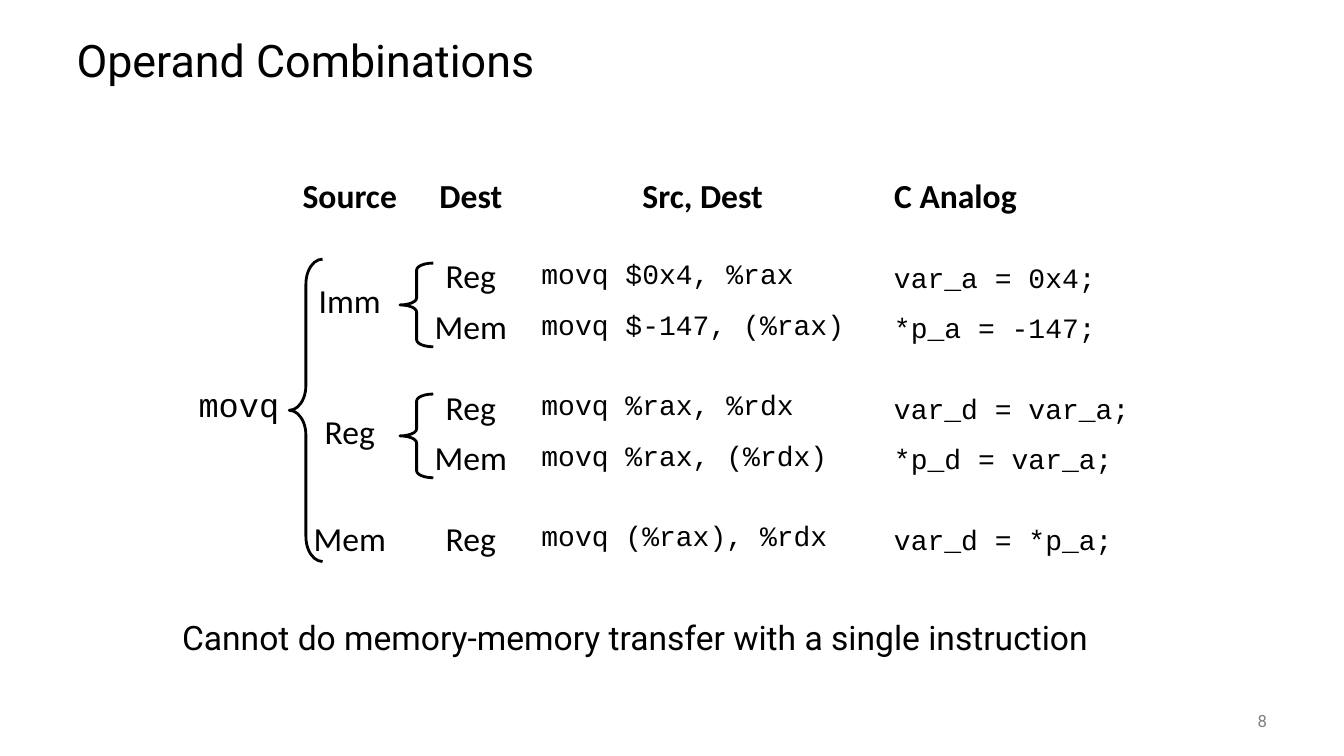
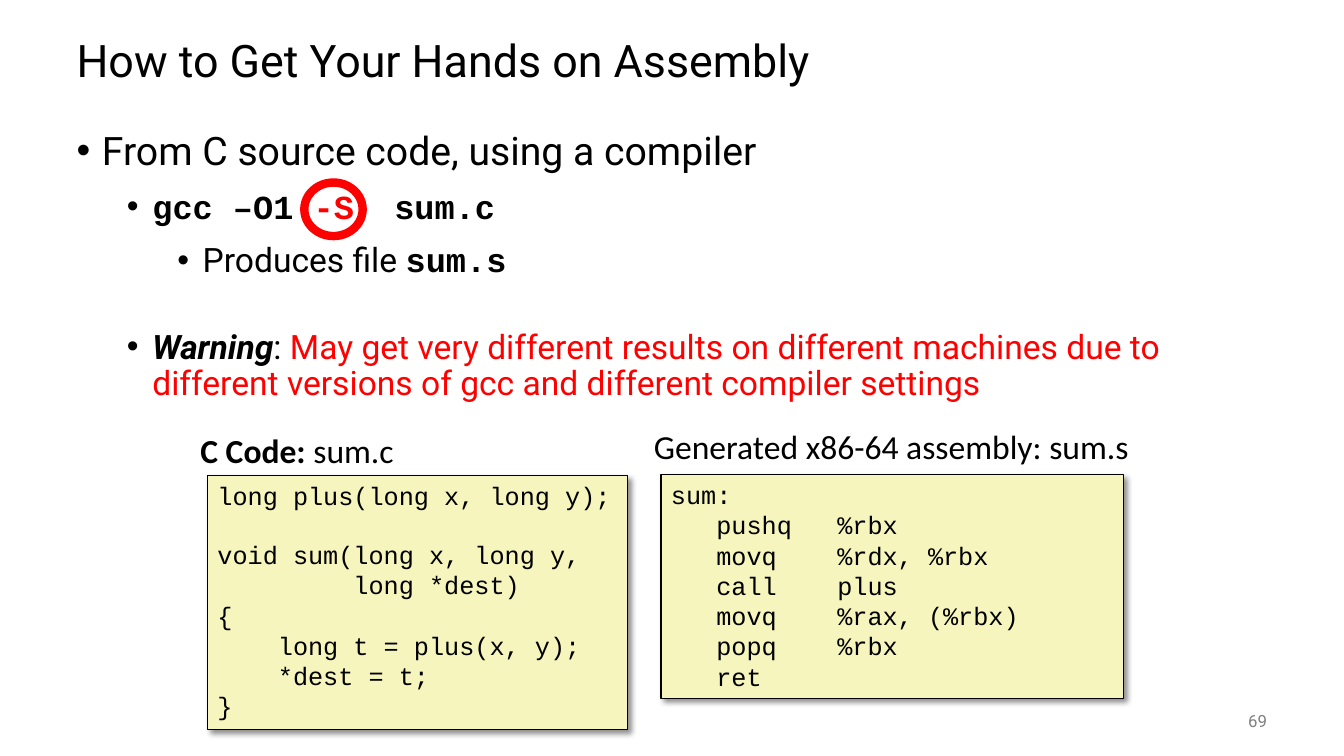
from dataclasses import dataclass
from itertools import accumulate
from typing import Sequence

from lxml import etree
from pptx import Presentation
from pptx.dml.color import RGBColor
from pptx.enum.shapes import MSO_SHAPE
from pptx.enum.text import MSO_ANCHOR, PP_ALIGN
from pptx.oxml.ns import qn
from pptx.util import Cm, Pt

BLACK, RED, GREY, CREAM = "000000", "FF0000", "808080", "F6F5BD"
TEXT_FONT, LABEL_FONT, CODE_FONT = "Roboto", "Calibri", "Courier New"
LEFT, CENTER, RIGHT = PP_ALIGN.LEFT, PP_ALIGN.CENTER, PP_ALIGN.RIGHT
TOP, MIDDLE = MSO_ANCHOR.TOP, MSO_ANCHOR.MIDDLE
BRACE, ELLIPSE, RECTANGLE = MSO_SHAPE.LEFT_BRACE, MSO_SHAPE.OVAL, MSO_SHAPE.RECTANGLE
NO_TABLE_STYLE = "{2D5ABB26-0587-4C30-8999-92F81FD0307C}"
CODE_LINE_HEIGHT = 20.4


@dataclass(frozen=True)
class Box:
    """Position and size in centimetres."""
    left: float
    top: float
    width: float
    height: float

    def lengths(self) -> tuple:
        return Cm(self.left), Cm(self.top), Cm(self.width), Cm(self.height)


@dataclass(frozen=True)
class Run:
    text: str
    size: float = 24
    font: str = TEXT_FONT
    color: str = BLACK
    bold: bool = False
    italic: bool = False


@dataclass(frozen=True)
class Bullet:
    level: int
    space_before: float
    runs: tuple[Run, ...]


@dataclass(frozen=True)
class Brace:
    box: Box
    curl: float


@dataclass(frozen=True)
class Listing:
    caption_box: Box
    caption: tuple[Run, ...]
    code_box: Box
    code: str


TITLE_BOX = Box(1.68, 0.64, 30.48, 1.9)
NUMBER_BOX = Box(29.64, 17.65, 2.54, 1.02)

TABLE_LEFT, TABLE_TOP = 4.75, 4.32
COLUMN_WIDTHS = (2.54, 3.05, 3.05, 8.89, 6.6)
ROW, GAP = 1.27, 0.76
ROW_HEIGHTS = (ROW, GAP, ROW, ROW, GAP, ROW, ROW, GAP, ROW)
HEADINGS = ("", "Source", "Dest", "Src, Dest", "C Analog")
OPERANDS = {
    2: ("movq", "Imm", "Reg", "movq $0x4, %rax", ""),
    3: ("", "", "Mem", "movq $-147, (%rax)", ""),
    5: ("", "Reg", "Reg", "movq %rax, %rdx", ""),
    6: ("", "", "Mem", "movq %rax, (%rdx)", ""),
    8: ("", "Mem", "Reg", "movq (%rax), %rdx", ""),
}
C_ANALOGS = {
    2: "var_a = 0x4;",
    3: "*p_a = -147;",
    5: "var_d = var_a;",
    6: "*p_d = var_a;",
    8: "var_d = *p_a;",
}
MERGES = (((2, 0), (8, 0)), ((2, 1), (3, 1)), ((5, 1), (6, 1)))
CODE_COLUMN = 3
COLUMN_STYLES = ((CODE_FONT, 24), (LABEL_FONT, 24), (LABEL_FONT, 24),
                 (CODE_FONT, 20), (LABEL_FONT, 24))

BRACES = (
    Brace(Box(7.29, 6.53, 0.84, 7.62), 0.75),
    *(Brace(Box(10.08, 6.63 + group * (2 * ROW + GAP), 0.84, 2.11), 0.21)
      for group in range(2)),
)

BULLETS = (
    Bullet(0, 0, (Run("From C source code, using a compiler", 28),)),
    Bullet(1, 12, (
        Run("gcc –O1 ", font=CODE_FONT, bold=True),
        Run("-S  ", font=CODE_FONT, color=RED, bold=True),
        Run("sum.c", font=CODE_FONT, bold=True))),
    Bullet(2, 12, (
        Run("Produces file "), Run("sum.s", font=CODE_FONT, bold=True))),
    Bullet(1, 36, (
        Run("Warning", bold=True, italic=True),
        Run(": "),
        Run("May get very different results on different machines due to "
            "different versions of gcc and different compiler settings",
            color=RED))),
)

LISTINGS = (
    Listing(
        Box(4.8, 10.72, 11, 1.02),
        (Run("C Code: ", font=LABEL_FONT, bold=True),
         Run("sum.c", font=LABEL_FONT)),
        Box(5.23, 11.99, 10.59, 6.4),
        """long plus(long x, long y);

void sum(long x, long y,
         long *dest)
{
    long t = plus(x, y);
    *dest = t;
}"""),
    Listing(
        Box(16.23, 10.62, 12.7, 1.14),
        (Run("Generated x86-64 assembly: sum.s", font=LABEL_FONT),),
        Box(16.66, 11.96, 11.66, 5.64),
        """sum:
   pushq   %rbx
   movq    %rdx, %rbx
   call    plus
   movq    %rax, (%rbx)
   popq    %rbx
   ret"""),
)


def rgb(color: str) -> RGBColor:
    return RGBColor.from_string(color)


def add_runs(paragraph, runs: Sequence[Run]) -> None:
    for item in runs:
        run = paragraph.add_run()
        run.text = item.text
        font = run.font
        font.name, font.size = item.font, Pt(item.size)
        font.bold, font.italic = item.bold, item.italic
        font.color.rgb = rgb(item.color)


def add_text(slide, box: Box, runs: Sequence[Run], align=LEFT, anchor=TOP):
    """Add a wrapping text box and return its text frame."""
    frame = slide.shapes.add_textbox(*box.lengths()).text_frame
    frame.word_wrap = True
    frame.vertical_anchor = anchor
    frame.paragraphs[0].alignment = align
    add_runs(frame.paragraphs[0], runs)
    return frame


def add_outline(slide, kind, box: Box, color: str, width: float):
    """Add an unfilled preset shape without shadow."""
    shape = slide.shapes.add_shape(kind, *box.lengths())
    shape.shadow.inherit = False
    shape.fill.background()
    shape.line.color.rgb = rgb(color)
    shape.line.width = Pt(width)
    return shape


def add_slide(deck, title: str, number: int):
    """Add a blank-layout slide with the shared title and page number."""
    slide = deck.slides.add_slide(deck.slide_layouts[6])
    heading = add_text(slide, TITLE_BOX, [Run(title, 32)], anchor=MIDDLE)
    heading.paragraphs[0].line_spacing = 0.9
    add_text(slide, NUMBER_BOX, [Run(str(number), 12, color=GREY)], RIGHT, MIDDLE)
    return slide


def fill_cell(cell, text: str, row: int, column: int) -> None:
    cell.fill.background()
    cell.vertical_anchor = MIDDLE
    paragraph = cell.text_frame.paragraphs[0]
    if column == CODE_COLUMN:
        cell.margin_right = Cm(0.51)
    if not text:
        etree.SubElement(paragraph._p, qn("a:endParaRPr"), sz="1000")
        return
    is_heading = row == 0
    font, size = (LABEL_FONT, 24) if is_heading else COLUMN_STYLES[column]
    is_left = column == 4 or (column == CODE_COLUMN and not is_heading)
    paragraph.alignment = LEFT if is_left else CENTER
    add_runs(paragraph, [Run(text, size, font, bold=is_heading)])


def add_operand_table(slide) -> None:
    box = Box(TABLE_LEFT, TABLE_TOP, sum(COLUMN_WIDTHS), sum(ROW_HEIGHTS))
    table = slide.shapes.add_table(
        len(ROW_HEIGHTS), len(COLUMN_WIDTHS), *box.lengths()).table
    table.first_row = table.horz_banding = False
    table._tbl.tblPr.find(qn("a:tableStyleId")).text = NO_TABLE_STYLE
    for column, width in zip(table.columns, COLUMN_WIDTHS):
        column.width = Cm(width)
    contents = {0: HEADINGS, **OPERANDS}
    spacer = ("",) * len(COLUMN_WIDTHS)
    for row, height in enumerate(ROW_HEIGHTS):
        table.rows[row].height = Cm(height)
        for column, text in enumerate(contents.get(row, spacer)):
            fill_cell(table.cell(row, column), text, row, column)
    for first, last in MERGES:
        table.cell(*first).merge(table.cell(*last))


def add_bullets(slide, box: Box, bullets: Sequence[Bullet]) -> None:
    frame = add_text(slide, box, ())
    for index, bullet in enumerate(bullets):
        paragraph = frame.add_paragraph() if index else frame.paragraphs[0]
        paragraph.level = bullet.level
        paragraph.line_spacing = 0.9
        if bullet.space_before:
            paragraph.space_before = Pt(bullet.space_before)
        properties = paragraph._p.get_or_add_pPr()
        properties.set("marL", str(Cm(0.64 + 1.27 * bullet.level)))
        properties.set("indent", str(-Cm(0.64)))
        etree.SubElement(properties, qn("a:buFont"), typeface="Arial")
        etree.SubElement(properties, qn("a:buChar"), char="•")
        add_runs(paragraph, bullet.runs)


def add_drop_shadow(shape) -> None:
    effects = shape._element.spPr.find(qn("a:effectLst"))
    shadow = etree.SubElement(
        effects, qn("a:outerShdw"), blurRad=str(Pt(4)), dist=str(Pt(3)),
        dir="2700000", algn="tl", rotWithShape="0")
    color = etree.SubElement(shadow, qn("a:srgbClr"), val=BLACK)
    etree.SubElement(color, qn("a:alpha"), val="43000")


def add_listing(slide, listing: Listing) -> None:
    """Add a caption and a shaded code panel; blank code lines become spacing."""
    add_text(slide, listing.caption_box, listing.caption)
    panel = add_outline(slide, RECTANGLE, listing.code_box, BLACK, 1)
    panel.fill.solid()
    panel.fill.fore_color.rgb = rgb(CREAM)
    add_drop_shadow(panel)
    frame = panel.text_frame
    frame.word_wrap = True
    frame.vertical_anchor = TOP
    previous = None
    for line in listing.code.split("\n"):
        if line:
            paragraph = frame.paragraphs[0] if previous is None else frame.add_paragraph()
            paragraph.alignment = LEFT
            if previous == "":
                paragraph.space_before = Pt(CODE_LINE_HEIGHT)
            add_runs(paragraph, [Run(line, 18, CODE_FONT)])
        previous = line


def build_operands(deck) -> None:
    slide = add_slide(deck, "Operand Combinations", 8)
    add_operand_table(slide)
    for brace in BRACES:
        shape = add_outline(slide, BRACE, brace.box, BLACK, 2)
        shape.adjustments[0] = brace.curl
    row_tops = list(accumulate(ROW_HEIGHTS, initial=TABLE_TOP))
    analog_left = TABLE_LEFT + sum(COLUMN_WIDTHS[:4])
    for row, statement in C_ANALOGS.items():
        box = Box(analog_left, row_tops[row], COLUMN_WIDTHS[4], ROW)
        add_text(slide, box, [Run(statement, 20, CODE_FONT)], anchor=MIDDLE)
    add_text(slide, Box(4.34, 15.42, 24.92, 1.27),
             [Run("Cannot do memory-memory transfer with a single instruction")])


def build_assembly(deck) -> None:
    slide = add_slide(deck, "How to Get Your Hands on Assembly", 69)
    add_bullets(slide, Box(1.68, 3.18, 30.48, 7.54), BULLETS)
    add_outline(slide, ELLIPSE, Box(7.67, 4.6, 1.47, 1.35), RED, 6)
    for listing in LISTINGS:
        add_listing(slide, listing)


def main() -> None:
    deck = Presentation()
    deck.slide_width, deck.slide_height = Cm(33.87), Cm(19.05)
    build_operands(deck)
    build_assembly(deck)
    deck.save("out.pptx")


if __name__ == "__main__":
    main()
